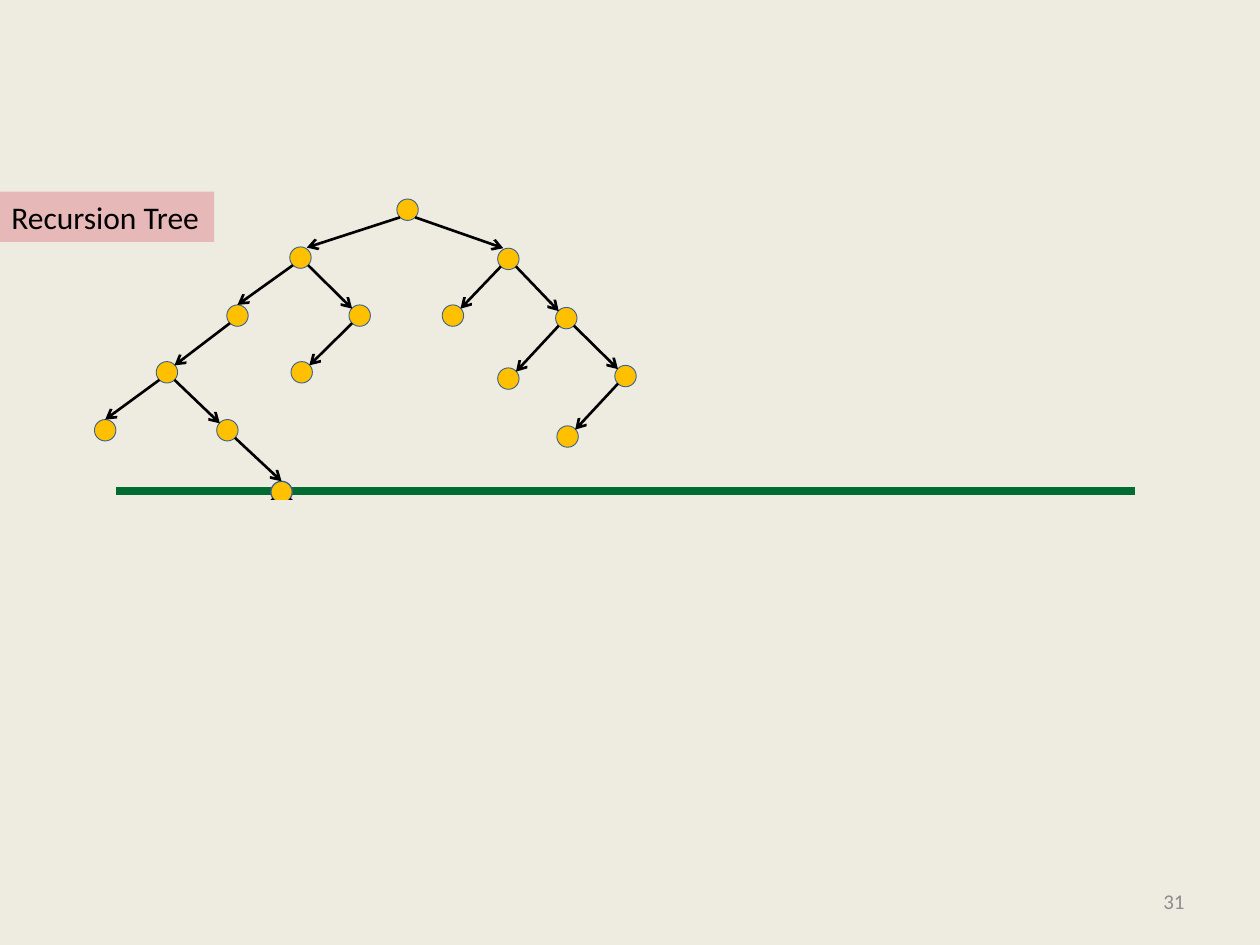
from lxml import etree
from pptx import Presentation
from pptx.dml.color import RGBColor
from pptx.enum.shapes import MSO_CONNECTOR, MSO_SHAPE
from pptx.enum.text import MSO_ANCHOR, MSO_AUTO_SIZE, PP_ALIGN
from pptx.oxml.ns import qn
from pptx.util import Inches, Pt

STRAIGHT = MSO_CONNECTOR.STRAIGHT
OVAL, RECTANGLE = MSO_SHAPE.OVAL, MSO_SHAPE.RECTANGLE
MIDDLE, NO_AUTOFIT = MSO_ANCHOR.MIDDLE, MSO_AUTO_SIZE.NONE
LEFT, RIGHT = PP_ALIGN.LEFT, PP_ALIGN.RIGHT

COLORS = {name: RGBColor.from_string(value) for name, value in {
    "background": "EEECE1", "rule": "006C31", "node": "FFC000", "outline": "3A5F8C",
    "edge": "000000", "label": "E6B9B8", "text": "000000", "number": "8C8C8C"}.items()}

presentation = Presentation()
presentation.slide_width, presentation.slide_height = Inches(10), Inches(7.5)
CELL = presentation.slide_width / 100  # square grid of 100 columns by 75 rows
slide = presentation.slides.add_slide(presentation.slide_layouts[5])
slide.background.fill.solid()
slide.background.fill.fore_color.rgb = COLORS["background"]


def grid(*cells):
    return [round(cell * CELL) for cell in cells]


def add_line(start, end, color, width, arrow=False):
    line = slide.shapes.add_connector(STRAIGHT, *grid(*start, *end))
    line.line.color.rgb, line.line.width = COLORS[color], Pt(width)
    if arrow:
        etree.SubElement(line.line._get_or_add_ln(), qn("a:tailEnd"), type="arrow")
    etree.SubElement(line._element.spPr, qn("a:effectLst"))


# Title label and slide number
title = slide.shapes.title
title.left, title.top, title.width, title.height = grid(-0.1, 15.2, 17.1, 4)
title.fill.solid()
title.fill.fore_color.rgb = COLORS["label"]
number = slide.shapes.add_textbox(*grid(71.7, 69.5, 23.3, 4))
for shape, text, size, color, alignment in (
        (title, "Recursion Tree", 18, "text", LEFT),
        (number, "31", 12, "number", RIGHT)):
    frame = shape.text_frame
    frame.text = text
    frame_format = {"word_wrap": shape is number, "auto_size": NO_AUTOFIT,
                    "vertical_anchor": MIDDLE}
    for name, value in frame_format.items():
        setattr(frame, name, value)
    paragraph = frame.paragraphs[0]
    paragraph.alignment = alignment
    for name, value in {"name": "Calibri", "size": Pt(size), "bold": False}.items():
        setattr(paragraph.font, name, value)
    paragraph.font.color.rgb = COLORS[color]

# Green rule
add_line((9.2, 39), (90.1, 39), "rule", 4.5)

# Tree nodes, by centre; each key spells the turns taken from the root
NODE_SIZE = 1.7
nodes = {
    "": (32.35, 16.65),
    "L": (23.85, 20.45), "R": (40.35, 20.55),
    "LL": (18.85, 25.05), "LR": (28.55, 25.05),
    "RL": (35.95, 25.05), "RR": (44.95, 25.25),
    "LLL": (13.25, 29.55), "LRL": (23.95, 29.55),
    "RRL": (40.35, 30.05), "RRR": (49.65, 29.85),
    "LLLL": (8.35, 34.15), "LLLR": (18.05, 34.15), "RRRL": (45.05, 34.65),
    "LLLRR": (22.35, 39.05),
}
for turns, (x, y) in nodes.items():
    node = slide.shapes.add_shape(
        OVAL, *grid(x - NODE_SIZE / 2, y - NODE_SIZE / 2, NODE_SIZE, NODE_SIZE))
    node.shadow.inherit = False
    node.fill.solid()
    node.fill.fore_color.rgb = COLORS["node"]
    node.line.color.rgb = COLORS["outline"]
    node.line.width = Pt(0.75 if turns == "LLLRR" else 0.5)

# Arrows from each parent to its child, meeting the circles at the diagonal;
# some tips sit nearer the top of the child
tips = {"L": (0.5, 0.8), "R": (0.4, 0.85), "LL": (0, 0.85),
        "LLLL": (0, 0.85), "LLLRR": (0, 0.85)}
for turns, (x, y) in nodes.items():
    if turns:
        parent_x, parent_y = nodes[turns[:-1]]
        side = -1 if turns[-1] == "L" else 1
        reach, rise = tips.get(turns, (0.6, 0.55))
        add_line((parent_x + side * 0.6, parent_y + 0.6),
                 (x - side * reach, y - rise), "edge", 1.5, arrow=True)

# Branches of the lowest node, cut off by the panel below
x, y = nodes["LLLRR"]
for side in (-1, 1):
    add_line((x + side * 0.65, y + 0.55), (x + side * 4.25, 43), "edge", 1.5, arrow=True)
panel = slide.shapes.add_shape(RECTANGLE, *grid(11.6, 39.7, 24.6, 29.9))
panel.shadow.inherit = False
panel.fill.solid()
panel.fill.fore_color.rgb = COLORS["background"]
panel.line.fill.background()

presentation.save("out.pptx")
